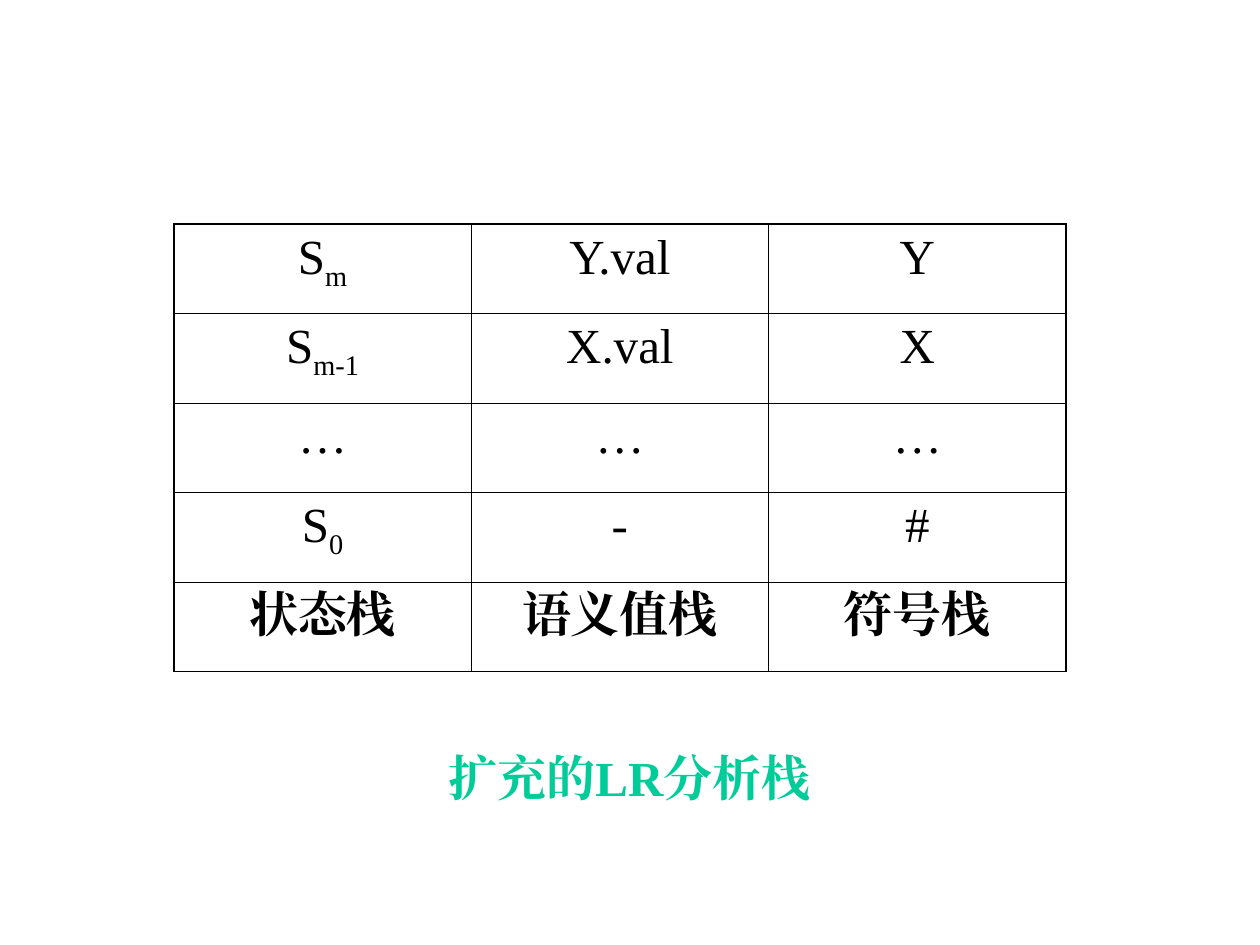
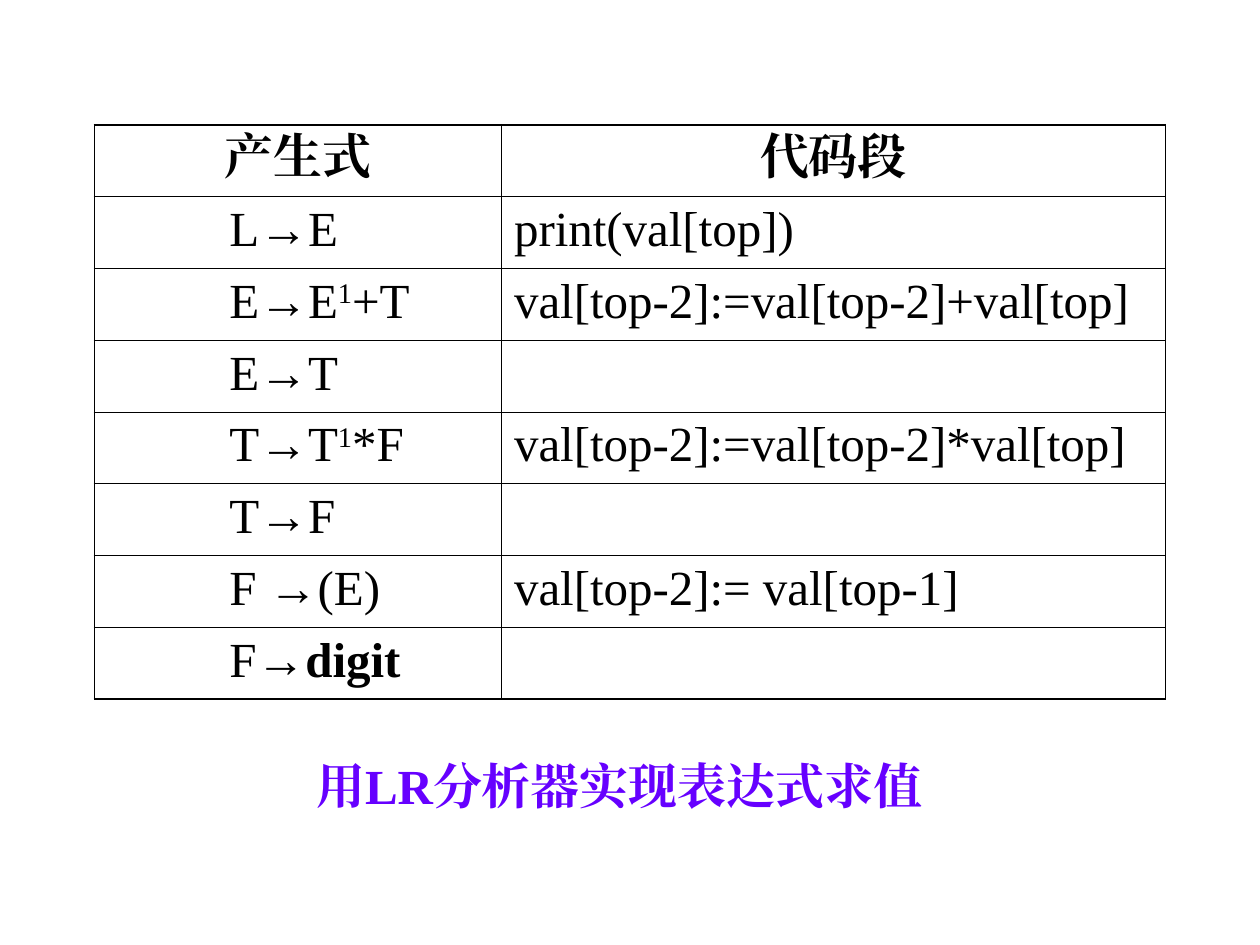
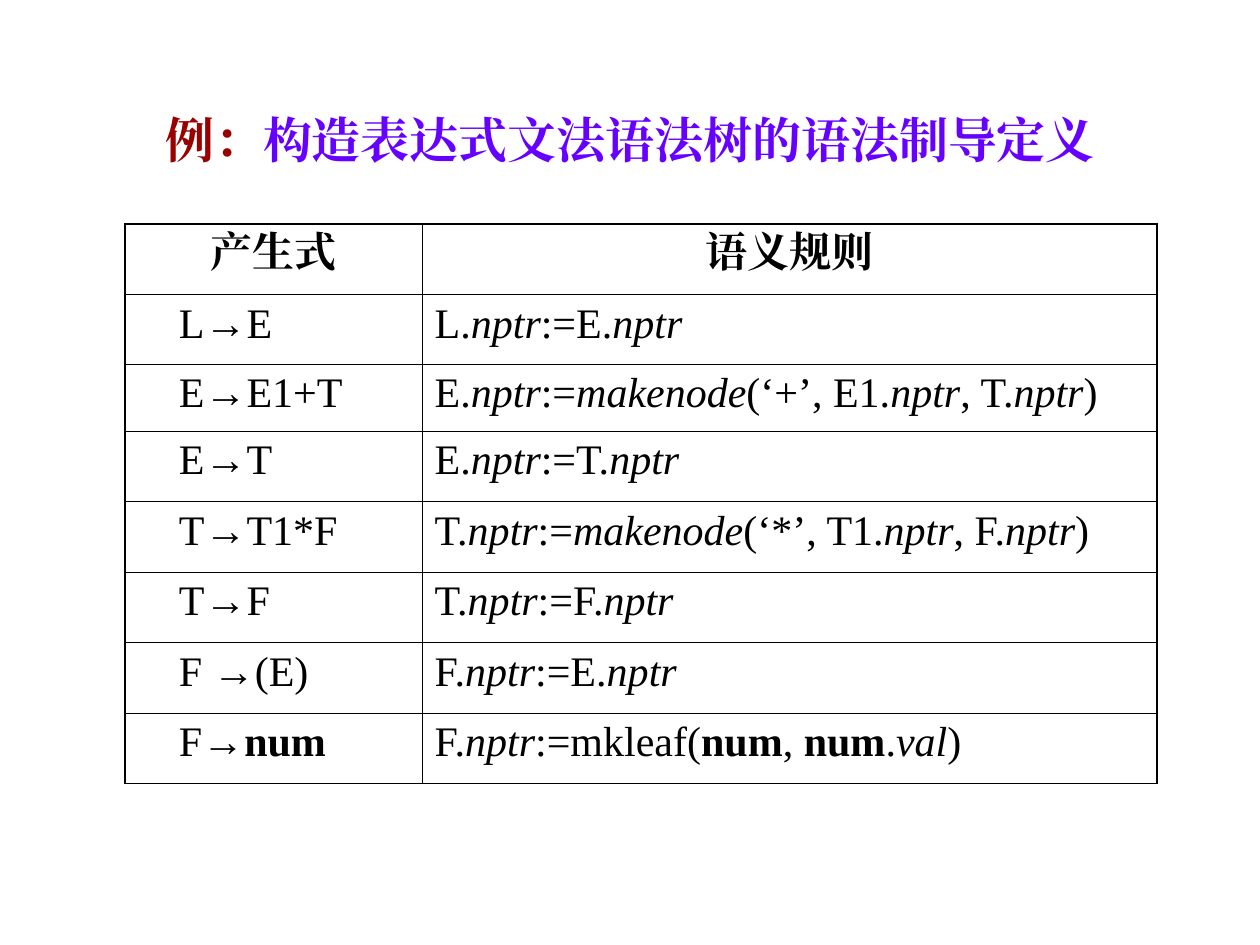
import lxml.etree
import pptx
import pptx.dml.color
import pptx.enum.text
import pptx.oxml.ns
import pptx.util

Inches = pptx.util.Inches
Pt = pptx.util.Pt
ALIGN = pptx.enum.text.PP_ALIGN
FONT = "Times New Roman"
BLACK, GREEN, VIOLET, RED = "000000", "00CC99", "6600FF", "990000"
OUTER_LINE, INNER_LINE = 1.08, 0.45
CAPTION_SIZE, CAPTION_HEIGHT = 28, 0.57
BASELINES = {"sub": "-25000", "sup": "30000"}

NPTR = ("nptr", "i")
MAKENODE = ("makenode", "i")
NUM = ("num", "b")

SLIDES = [
    {
        "caption": {"place": (2.24, 5.88, 5.51), "runs": [("扩充的LR分析栈", GREEN)]},
        "table": {
            "place": (1.38, 1.78), "size": 28, "columns": [2.36] * 3, "heights": [0.71] * 5,
            "centred": True, "bold_row": 4, "indent": 0,
            "rows": [
                (["S", ("m", "sub")], ["Y.val"], ["Y"]),
                (["S", ("m-1", "sub")], ["X.val"], ["X"]),
                (["…"], ["…"], ["…"]),
                (["S", ("0", "sub")], ["-"], ["#"]),
                (["状态栈"], ["语义值栈"], ["符号栈"]),
            ],
        },
    },
    {
        "caption": {"place": (2.16, 5.95, 5.51), "runs": [("用LR分析器实现表达式求值", VIOLET)]},
        "table": {
            "place": (0.75, 0.99), "size": 28, "columns": [3.23, 5.27], "heights": [0.57] * 8,
            "centred": False, "bold_row": 0, "indent": 0.97,
            "rows": [
                (["产生式"], ["代码段"]),
                (["L→E"], ["print(val[top])"]),
                (["E→E", ("1", "sup"), "+T"], ["val[top-2]:=val[top-2]+val[top]"]),
                (["E→T"], []),
                (["T→T", ("1", "sup"), "*F"], ["val[top-2]:=val[top-2]*val[top]"]),
                (["T→F"], []),
                (["F →(E)"], ["val[top-2]:= val[top-1]"]),
                (["F→", ("digit", "b")], []),
            ],
        },
    },
    {
        "caption": {
            "place": (1.14, 0.82, 7.72),
            "runs": [("例：", RED), ("构造表达式文法语法树的语法制导定义", VIOLET)],
        },
        "table": {
            "place": (0.99, 1.78), "size": 24, "columns": [2.36, 5.83],
            "heights": [0.56, 0.55, 0.53] + [0.56] * 5,
            "centred": False, "bold_row": 0, "indent": 0.33,
            "rows": [
                (["产生式"], ["语义规则"]),
                (["L→E"], ["L.", NPTR, ":=E.", NPTR]),
                (["E→E1+T"], ["E.", NPTR, ":=", MAKENODE, "(‘+’, E1.", NPTR, ", T.", NPTR, ")"]),
                (["E→T"], ["E.", NPTR, ":=T.", NPTR]),
                (["T→T1*F"], ["T.", NPTR, ":=", MAKENODE, "(‘*’, T1.", NPTR, ", F.", NPTR, ")"]),
                (["T→F"], ["T.", NPTR, ":=F.", NPTR]),
                (["F →(E)"], ["F.", NPTR, ":=E.", NPTR]),
                (["F→", NUM], ["F.", NPTR, ":=mkleaf(", NUM, ", ", NUM, ".", ("val", "i"), ")"]),
            ],
        },
    },
]


def colour(value):
    return pptx.dml.color.RGBColor.from_string(value)


def add_child(parent, tag, **attributes):
    return lxml.etree.SubElement(parent, pptx.oxml.ns.qn(tag), attributes)


def add_run(paragraph, text, size, shade, bold=False, style=""):
    run = paragraph.add_run()
    run.text = text
    font = run.font
    font.name, font.size = FONT, Pt(size)
    font.bold, font.italic = bold or style == "b", style == "i"
    font.color.rgb = colour(shade)
    properties = run._r.get_or_add_rPr()
    add_child(properties, "a:ea", typeface=FONT)
    if style in BASELINES:
        properties.set("baseline", BASELINES[style])


def add_border(cell, side, width):
    line = add_child(cell._tc.get_or_add_tcPr(), "a:ln" + side, w=str(int(Pt(width))))
    fill = add_child(line, "a:solidFill")
    add_child(fill, "a:srgbClr", val=BLACK)


def add_caption(slide, place, runs):
    left, top, width = map(Inches, place)
    box = slide.shapes.add_textbox(left, top, width, Inches(CAPTION_HEIGHT))
    frame = box.text_frame
    frame.word_wrap = True
    frame.auto_size = pptx.enum.text.MSO_AUTO_SIZE.SHAPE_TO_FIT_TEXT
    paragraph = frame.paragraphs[0]
    paragraph.alignment = ALIGN.CENTER
    for text, shade in runs:
        add_run(paragraph, text, CAPTION_SIZE, shade, bold=True)


def fill_cell(cell, row, column, parts, content):
    last_row, last_column = len(content["rows"]) - 1, len(content["columns"]) - 1
    edges = {"L": column == 0, "R": column == last_column, "T": row == 0, "B": row == last_row}
    for side, outer in edges.items():
        add_border(cell, side, OUTER_LINE if outer else INNER_LINE)
    cell.fill.background()

    bold = row == content["bold_row"]
    centred = bold or content["centred"]
    if column == 0 and not centred:
        cell.margin_left = Inches(0.1 + content["indent"])
    paragraph = cell.text_frame.paragraphs[0]
    paragraph.alignment = ALIGN.CENTER if centred else ALIGN.LEFT
    for part in parts:
        text, style = (part, "") if isinstance(part, str) else part
        add_run(paragraph, text, content["size"], BLACK, bold, style)


def add_grid(slide, content):
    columns, heights = content["columns"], content["heights"]
    left, top = map(Inches, content["place"])
    table = slide.shapes.add_table(
        len(heights), len(columns), left, top, Inches(sum(columns)), Inches(sum(heights))
    ).table
    table.first_row = table.horz_banding = False
    for column, width in zip(table.columns, columns):
        column.width = Inches(width)
    for row, height in zip(table.rows, heights):
        row.height = Inches(height)
    for row, cells in enumerate(content["rows"]):
        for column, parts in enumerate(cells):
            fill_cell(table.cell(row, column), row, column, parts, content)


def main():
    presentation = pptx.Presentation()
    presentation.slide_width, presentation.slide_height = Inches(10), Inches(7.5)
    for content in SLIDES:
        slide = presentation.slides.add_slide(presentation.slide_layouts[6])
        add_grid(slide, content["table"])
        add_caption(slide, **content["caption"])
    presentation.save("out.pptx")


if __name__ == "__main__":
    main()
